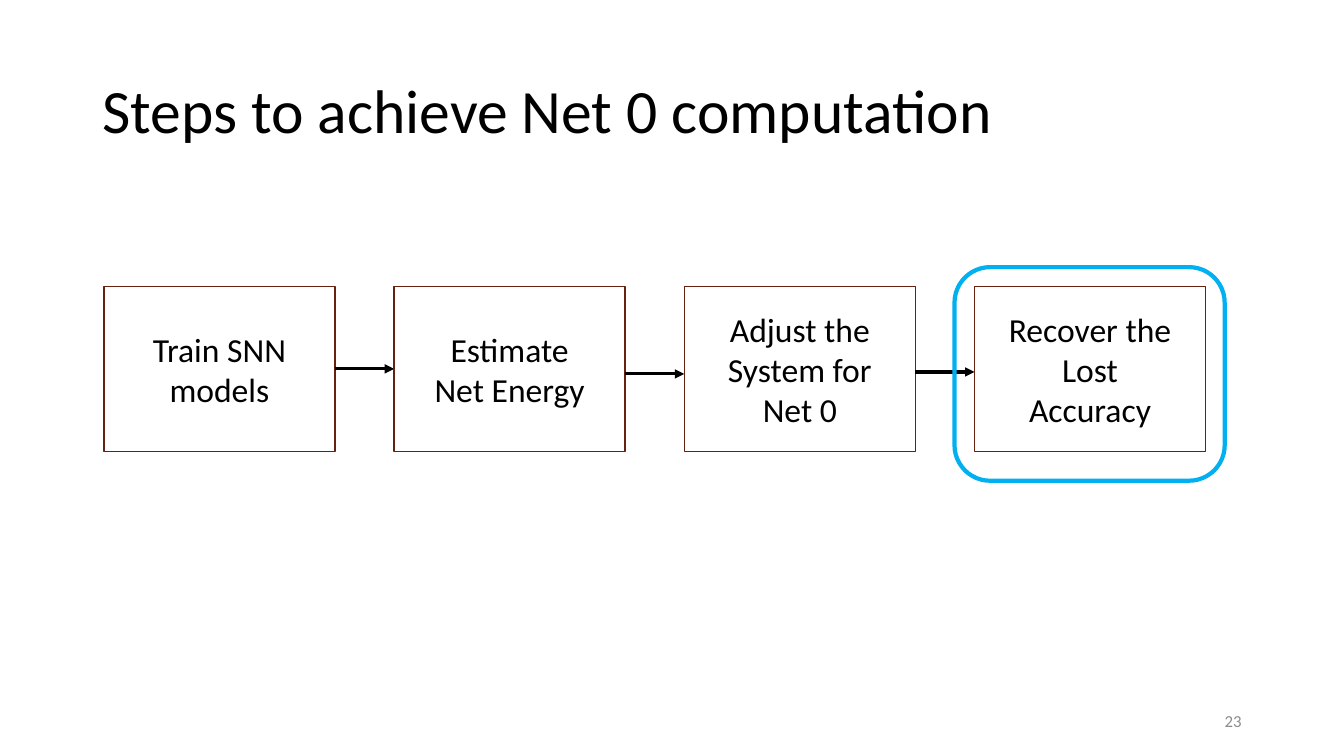
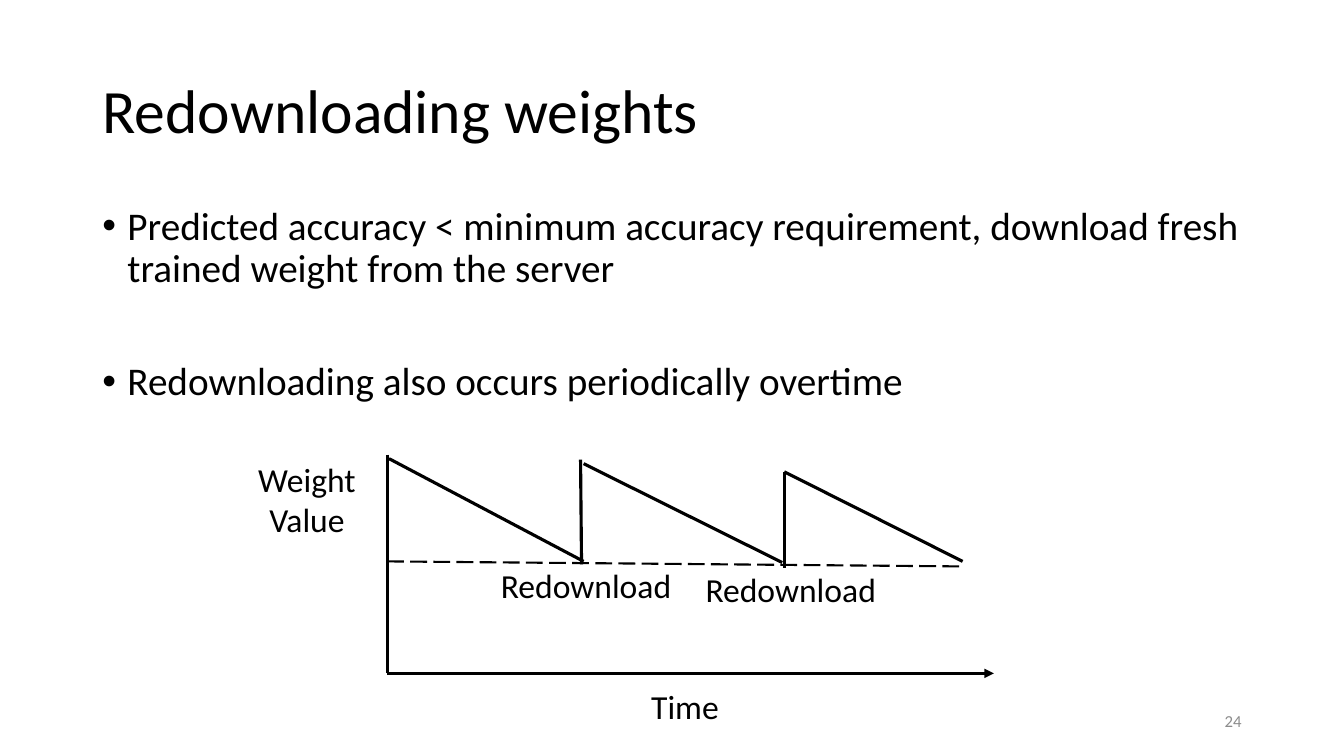
from dataclasses import dataclass
from typing import Any, NamedTuple, Optional

from lxml.etree import SubElement
from pptx import Presentation
from pptx.dml.color import RGBColor
from pptx.enum.dml import MSO_LINE as Dash
from pptx.enum.shapes import MSO_CONNECTOR as Connector, MSO_SHAPE as Preset
from pptx.enum.text import MSO_ANCHOR as Anchor, MSO_AUTO_SIZE as AutoSize, PP_ALIGN as Align
from pptx.oxml.ns import qn
from pptx.util import Pt


@dataclass(frozen=True)
class Theme:
    font: str = "Calibri"
    ink: RGBColor = RGBColor(0x00, 0x00, 0x00)
    muted: RGBColor = RGBColor(0x8C, 0x8C, 0x8C)
    box_line: RGBColor = RGBColor(0x66, 0x21, 0x0F)
    highlight: RGBColor = RGBColor(0x00, 0xB0, 0xF0)
    title_size: float = 44
    body_size: float = 28
    label_size: float = 24
    number_size: float = 12
    line_spacing: float = 0.9


THEME = Theme()


class Box(NamedTuple):
    left: float
    top: float
    width: float
    height: float


class Step(NamedTuple):
    text: str
    arrow_y: Optional[float] = None


class Label(NamedTuple):
    text: str
    left: float
    top: float
    height: float = 36


class Stroke(NamedTuple):
    x1: float
    y1: float
    x2: float
    y2: float
    width: float = 2.25
    dash: Optional[Dash] = None
    arrow: bool = False


SLIDE_SIZE = (960, 540)
TITLE_BOX = Box(66, 28.8, 828, 104.4)
BODY_BOX = Box(66, 144, 828, 342.7)
NUMBER_BOX = Box(678, 500.4, 216, 28.8)

FIRST_STEP = Box(74.2, 204.6, 165, 118)
STEP_PITCH = 207.3
STEP_INSET = 21.6
HIGHLIGHT_BOX = Box(681.8, 190.8, 193, 152.6)
STEPS = (
    Step("Train SNN models", 263.5),
    Step("Estimate\nNet Energy", 267.1),
    Step("Adjust the System for Net 0", 265.7),
    Step("Recover the Lost Accuracy"),
)

BULLETS = (
    "Predicted accuracy < minimum accuracy requirement, download fresh trained weight from the server",
    "Redownloading also occurs periodically overtime",
)
BULLET_INDENT = 18
BULLET_GAP = 50.5

LABEL_WIDTH = 193.7
LABELS = (
    Label("Weight\nValue", 122.4, 324, 65.5),
    Label("Time", 392.4, 486.7),
    Label("Redownload", 321.8, 400.3),
    Label("Redownload", 468, 402.5),
)
AXES = (
    Stroke(276.5, 481, 709.9, 481, arrow=True),
    Stroke(276.5, 324.7, 276.5, 481),
)
WEIGHT_CURVE = (
    Stroke(277.9, 327.6, 416.9, 401),
    Stroke(415.4, 403.2, 414.7, 328.3),
    Stroke(416.9, 331.2, 558.7, 401.8),
    Stroke(560.2, 405.4, 560.2, 337),
    Stroke(560.2, 337, 687.6, 401),
)
THRESHOLD = Stroke(276.5, 401, 687.6, 404.6, width=1.5, dash=Dash.LONG_DASH)


def apply_format(target: Any, values: dict[str, Any]) -> None:
    for name, value in values.items():
        setattr(target, name, value)


def in_points(box: Box) -> list[Pt]:
    return [Pt(length) for length in box]


def write(shape: Any, text: str, size: float, color: RGBColor = THEME.ink,
          frame_format: Optional[dict[str, Any]] = None,
          paragraph_format: Optional[dict[str, Any]] = None) -> None:
    frame = shape.text_frame
    frame.text = text
    apply_format(frame, {"word_wrap": True, "auto_size": AutoSize.NONE, **(frame_format or {})})
    for paragraph in frame.paragraphs:
        apply_format(paragraph, paragraph_format or {})
        apply_format(paragraph.font, {"name": THEME.font, "size": Pt(size)})
        paragraph.font.color.rgb = color


def add_outline(slide: Any, preset: Preset, box: Box, color: RGBColor, width: float) -> Any:
    shape = slide.shapes.add_shape(preset, *in_points(box))
    shape.shadow.inherit = False
    shape.fill.background()
    shape.line.color.rgb = color
    shape.line.width = Pt(width)
    return shape


def add_stroke(slide: Any, stroke: Stroke) -> None:
    ends = [Pt(value) for value in (stroke.x1, stroke.y1, stroke.x2, stroke.y2)]
    connector = slide.shapes.add_connector(Connector.STRAIGHT, *ends)
    line = connector.line
    line.color.rgb = THEME.ink
    line.width = Pt(stroke.width)
    if stroke.dash is not None:
        line.dash_style = stroke.dash
    if stroke.arrow:
        SubElement(line._get_or_add_ln(), qn("a:tailEnd"), type="triangle")
    SubElement(connector._element.spPr, qn("a:effectLst"))


def add_titled_slide(presentation: Any, title: str, number: int) -> Any:
    slide = presentation.slides.add_slide(presentation.slide_layouts[5])
    heading = slide.shapes.title
    apply_format(heading, dict(zip(("left", "top", "width", "height"), in_points(TITLE_BOX))))
    write(heading, title, THEME.title_size,
          frame_format={"vertical_anchor": Anchor.MIDDLE},
          paragraph_format={"alignment": Align.LEFT, "line_spacing": THEME.line_spacing})
    number_box = slide.shapes.add_textbox(*in_points(NUMBER_BOX))
    write(number_box, str(number), THEME.number_size, THEME.muted,
          frame_format={"vertical_anchor": Anchor.MIDDLE},
          paragraph_format={"alignment": Align.RIGHT})
    return slide


def add_steps(slide: Any) -> None:
    for index, step in enumerate(STEPS):
        box = FIRST_STEP._replace(left=FIRST_STEP.left + index * STEP_PITCH)
        shape = add_outline(slide, Preset.RECTANGLE, box, THEME.box_line, 1)
        write(shape, step.text, THEME.label_size,
              frame_format={"vertical_anchor": Anchor.MIDDLE,
                            "margin_left": Pt(STEP_INSET), "margin_right": Pt(STEP_INSET)},
              paragraph_format={"alignment": Align.CENTER})
        if step.arrow_y is not None:
            add_stroke(slide, Stroke(box.left + box.width, step.arrow_y,
                                     box.left + STEP_PITCH, step.arrow_y, arrow=True))


def add_bullets(slide: Any) -> None:
    body = slide.shapes.add_textbox(*in_points(BODY_BOX))
    write(body, "\n".join(BULLETS), THEME.body_size,
          paragraph_format={"line_spacing": THEME.line_spacing})
    for index, paragraph in enumerate(body.text_frame.paragraphs):
        properties = paragraph._p.get_or_add_pPr()
        properties.set("marL", str(Pt(BULLET_INDENT)))
        properties.set("indent", str(-Pt(BULLET_INDENT)))
        if index:
            paragraph.space_before = Pt(BULLET_GAP)
        bullet_font = properties.makeelement(qn("a:buFont"), {"typeface": "Arial"})
        bullet = properties.makeelement(qn("a:buChar"), {"char": "•"})
        default_run = properties.find(qn("a:defRPr"))
        default_run.addprevious(bullet_font)
        default_run.addprevious(bullet)


def add_weight_sketch(slide: Any) -> None:
    for stroke in (*AXES, *WEIGHT_CURVE, THRESHOLD):
        add_stroke(slide, stroke)
    for label in LABELS:
        box = Box(label.left, label.top, LABEL_WIDTH, label.height)
        write(slide.shapes.add_textbox(*in_points(box)), label.text, THEME.label_size,
              paragraph_format={"alignment": Align.CENTER})


def main() -> None:
    presentation = Presentation()
    presentation.slide_width, presentation.slide_height = map(Pt, SLIDE_SIZE)

    steps_slide = add_titled_slide(presentation, "Steps to achieve Net 0 computation", 23)
    add_steps(steps_slide)
    add_outline(steps_slide, Preset.ROUNDED_RECTANGLE, HIGHLIGHT_BOX, THEME.highlight, 3)

    weights_slide = add_titled_slide(presentation, "Redownloading weights", 24)
    add_bullets(weights_slide)
    add_weight_sketch(weights_slide)

    presentation.save("out.pptx")


if __name__ == "__main__":
    main()
